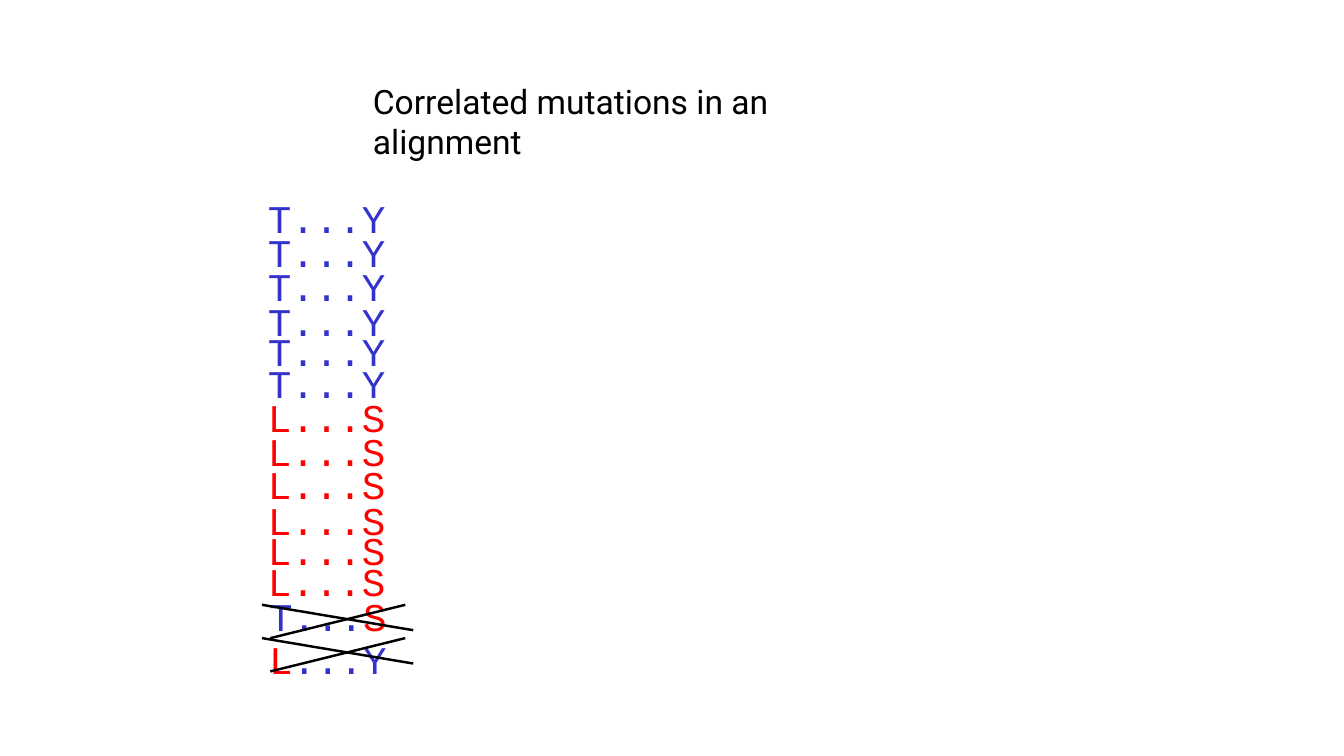
from dataclasses import dataclass

from lxml.etree import SubElement
from pptx import Presentation
from pptx.dml.color import RGBColor
from pptx.enum.shapes import MSO_CONNECTOR
from pptx.enum.text import MSO_ANCHOR, MSO_AUTO_SIZE, PP_ALIGN
from pptx.oxml.ns import qn
from pptx.shapes.autoshape import Shape
from pptx.shapes.shapetree import GroupShapes, SlideShapes
from pptx.util import Cm, Pt

BLUE, RED, BLACK = "3333CC", "FF0000", "000000"
TOPS = (4.78, 5.64, 6.48, 7.37, 8.13, 8.92)
BLOCK = 5.0


@dataclass
class Run:
    """A stretch of text in one colour."""
    text: str
    color: str


@dataclass
class Row:
    """One aligned sequence, placed in centimetres."""
    left: float
    top: float
    runs: list[Run]


@dataclass
class Stroke:
    """One line of a cross, measured from the top of the cross."""
    start: tuple[float, float]
    end: tuple[float, float]


CROSS = (Stroke((6.6, 0), (10.41, 0.64)), Stroke((6.81, 0.84), (10.21, 0)))


def paint(code: str) -> RGBColor:
    """Turn a hex string into a colour."""
    return RGBColor.from_string(code)


def write(shape: Shape, runs: list[Run], *, font: str, size: float, right: float,
          wrap: bool = False, fit: MSO_AUTO_SIZE = MSO_AUTO_SIZE.NONE) -> None:
    """Fill a shape with left-aligned runs set at the top."""
    frame = shape.text_frame
    frame.word_wrap = wrap
    frame.auto_size = fit
    frame.vertical_anchor = MSO_ANCHOR.TOP
    frame.margin_right = Cm(right)
    line = frame.paragraphs[0]
    line.alignment = PP_ALIGN.LEFT
    for item in runs:
        run = line.add_run()
        run.text = item.text
        run.font.name = font
        run.font.size = Pt(size)
        run.font.color.rgb = paint(item.color)


def draw_row(shapes: SlideShapes | GroupShapes, row: Row) -> None:
    """Add one sequence of the alignment."""
    box = shapes.add_textbox(Cm(row.left), Cm(row.top), Cm(3.45), Cm(1.45))
    write(box, row.runs, font="Courier New", size=28, right=0)


def draw_cross(shapes: SlideShapes, top: float) -> None:
    """Strike out a sequence with two grouped lines."""
    group = shapes.add_group_shape()
    for stroke in CROSS:
        (x1, y1), (x2, y2) = stroke.start, stroke.end
        line = group.shapes.add_connector(
            MSO_CONNECTOR.STRAIGHT, Cm(x1), Cm(top + y1), Cm(x2), Cm(top + y2))
        line.line.color.rgb = paint(BLACK)
        line.line.width = Pt(1.75)
        SubElement(line._element.spPr, qn("a:effectLst"))


def main() -> None:
    """Build and save the slide."""
    deck = Presentation()
    deck.slide_width, deck.slide_height = Cm(33.86), Cm(19.05)
    slide = deck.slides.add_slide(deck.slide_layouts[5])
    shapes = slide.shapes

    title = shapes.title
    title.left, title.top = Cm(9.14), Cm(1.9)
    title.width, title.height = Cm(14.35), Cm(1.27)
    write(title, [Run("Correlated mutations in an alignment", BLACK)],
          font="Roboto", size=24, right=1, wrap=True)

    for step, run in enumerate((Run("T...Y", BLUE), Run("L...S", RED))):
        group = shapes.add_group_shape()
        for top in TOPS:
            draw_row(group.shapes, Row(6.5, top + step * BLOCK, [run]))

    odd = (
        (Row(6.53, 14.81, [Run("T...", BLUE), Run("S", RED)]), 15.24),
        (Row(6.53, 15.88, [Run("L", RED), Run("...Y", BLUE)]), 16.08),
    )
    for row, top in odd:
        draw_row(shapes, row)
        draw_cross(shapes, top)

    deck.save("out.pptx")


if __name__ == "__main__":
    main()
